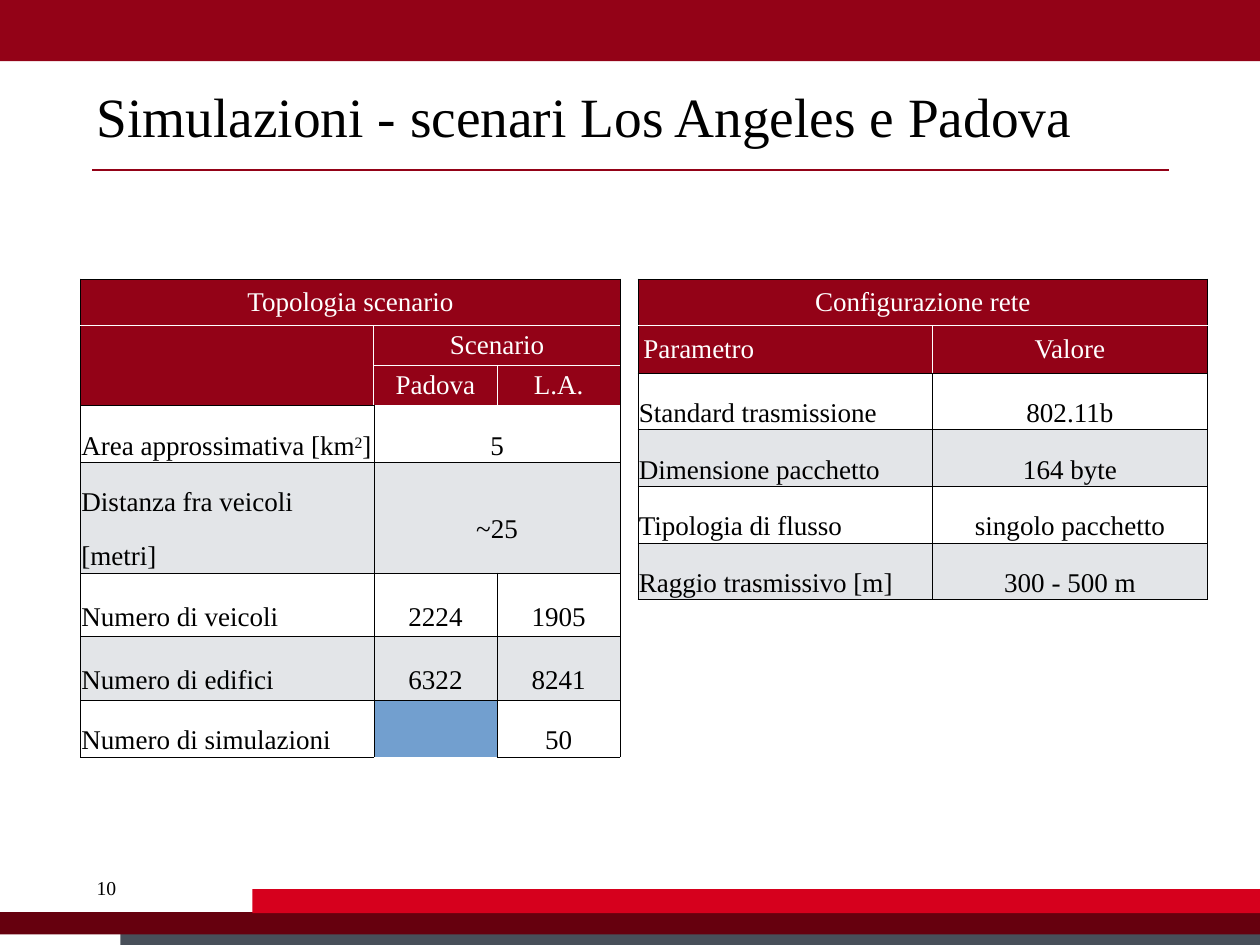
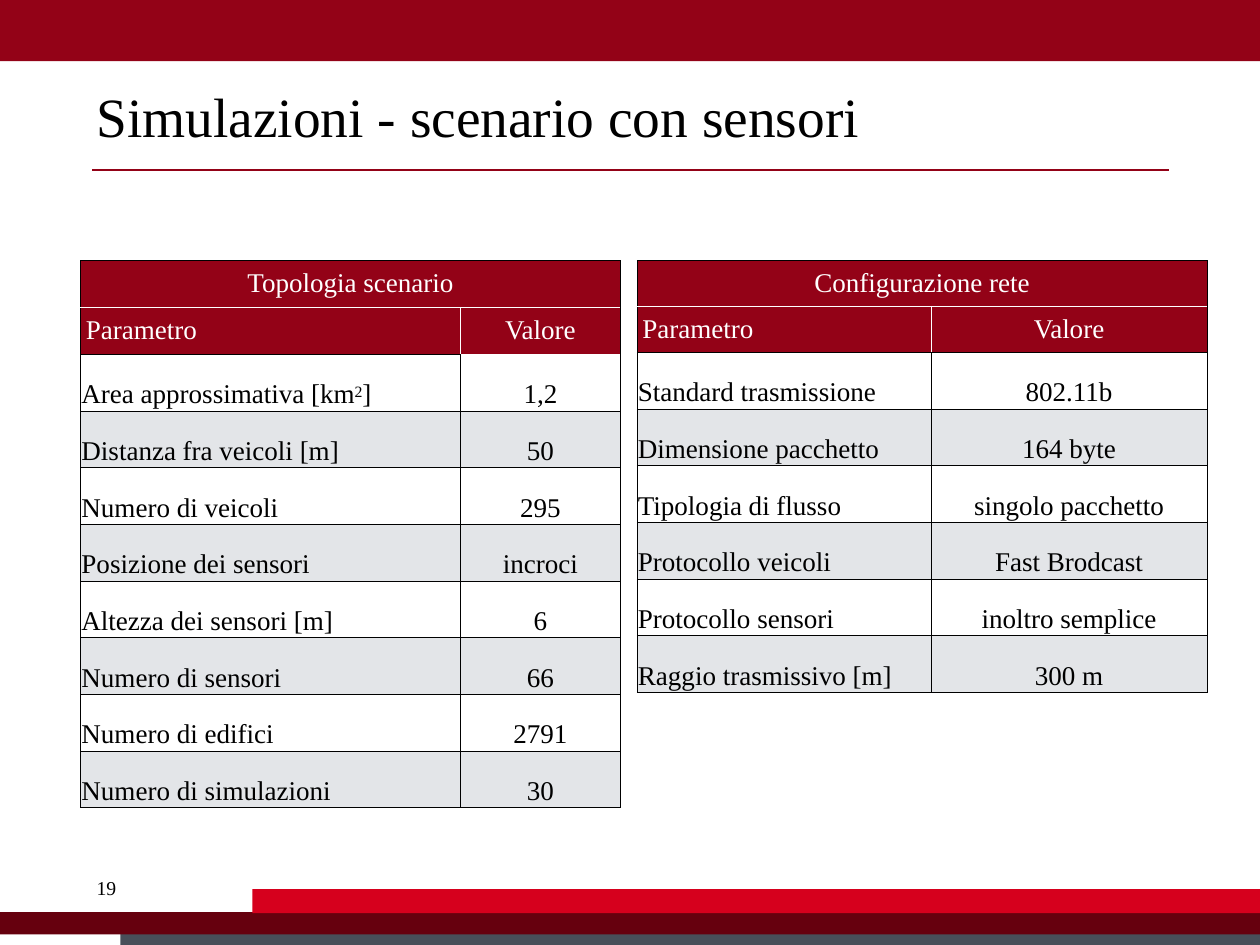
from dataclasses import dataclass

from lxml import etree
from pptx import Presentation
from pptx.dml.color import RGBColor
from pptx.enum.shapes import MSO_CONNECTOR as Connector, MSO_SHAPE as Shape
from pptx.enum.text import MSO_ANCHOR as Anchor, PP_ALIGN as Align
from pptx.oxml.ns import qn
from pptx.util import Inches, Pt

FONT = "Times New Roman"
COLORS = {
    "crimson": "930217",
    "dark_red": "66000E",
    "bright_red": "D6001D",
    "slate": "484F59",
    "black": "000000",
    "white": "FFFFFF",
    "stripe": "E3E5E8",
}
BANDS = [  # left, top, width, height, colour
    (0, -0.01, 14.22, 0.7, "crimson"),
    (1.36, 10.49, 12.88, 0.21, "slate"),
    (-0.02, 10.3, 14.27, 0.25, "dark_red"),
    (2.85, 10.04, 11.4, 0.27, "bright_red"),
]
JOIN_LEFT, JOIN_ABOVE = "join left", "join above"
AREA_LABEL = ("Area approssimativa [km", "^2", "]")
NETWORK_COLUMNS = (3.32, 3.11)
NETWORK_HEADER = [("Configurazione rete", JOIN_LEFT), ("Parametro", "Valore")]
HEADER_HEIGHT, BODY_HEIGHT = 0.53, 0.64


@dataclass
class TableData:
    left: float
    top: float
    columns: tuple
    header: list
    body: list
    header_heights: tuple = (HEADER_HEIGHT, HEADER_HEIGHT)
    tall_rows: tuple = ()  # (body row, height) pairs
    value_rule: str = "black"  # line between the header and the values


def rgb(name):
    return RGBColor.from_string(COLORS[name])


def add_run(paragraph, text, size, color="black"):
    """Add a run; a leading ^ marks superscript."""
    run = paragraph.add_run()
    run.text = text.removeprefix("^")
    run.font.name = FONT
    run.font.size = Pt(size)
    run.font.color.rgb = rgb(color)
    if text.startswith("^"):
        run._r.get_or_add_rPr().set("baseline", "23000")


def add_text(slide, left, top, width, height, text, size, anchor=Anchor.TOP):
    box = slide.shapes.add_textbox(*map(Inches, (left, top, width, height)))
    frame = box.text_frame
    frame.word_wrap = True
    frame.vertical_anchor = anchor
    frame.margin_left = frame.margin_right = Inches(0.06)
    frame.margin_top = frame.margin_bottom = Inches(0.06)
    add_run(frame.paragraphs[0], text, size)


def add_band(slide, left, top, width, height, color):
    band = slide.shapes.add_shape(
        Shape.RECTANGLE, *map(Inches, (left, top, width, height)))
    band.shadow.inherit = False
    band.fill.solid()
    band.fill.fore_color.rgb = rgb(color)
    band.line.fill.background()


def add_rule(slide, left, right, top):
    rule = slide.shapes.add_connector(
        Connector.STRAIGHT, *map(Inches, (left, top, right, top)))
    rule.line.color.rgb = rgb("crimson")
    rule.line.width = Pt(2)
    etree.SubElement(rule._element.spPr, qn("a:effectLst"))


def add_frame(presentation, title, number):
    """Add a slide with the shared bands, title, rule and page number."""
    slide = presentation.slides.add_slide(presentation.slide_layouts[6])
    for band in BANDS:
        add_band(slide, *band)
    add_text(slide, 1.03, 0.68, 12.16, 1.24, title, 45, Anchor.MIDDLE)
    add_text(slide, 1.03, 9.83, 0.6, 0.33, number, 16)
    add_rule(slide, 1.04, 13.19, 1.92)
    return slide


def set_borders(cell, colors):
    """Set left, right, top and bottom lines, ahead of the cell's fill."""
    properties = cell._tc.get_or_add_tcPr()
    for position, (side, color) in enumerate(zip("LRTB", colors)):
        width = Pt(1) if color == "white" else Pt(0.5)
        line = etree.Element(qn(f"a:ln{side}"), w=str(int(width)))
        fill = etree.SubElement(line, qn("a:solidFill"))
        etree.SubElement(fill, qn("a:srgbClr"), val=COLORS[color])
        properties.insert(position, line)


def border_colors(data, row, column, width, height):
    """Lines inside the header are white, all others are black."""
    header_count = len(data.header)
    is_header = row < header_count

    def horizontal(edge):
        if edge == header_count:
            return data.value_rule if column else "black"
        return "white" if 0 < edge < header_count else "black"

    def vertical(edge):
        return "white" if is_header and 0 < edge < len(data.columns) else "black"

    return (vertical(column), vertical(column + width),
            horizontal(row), horizontal(row + height))


def fill_cell(cell, content, is_left, body_row):
    """Write one cell; body_row is negative in the header."""
    is_header = body_row < 0
    body_color = "stripe" if body_row % 2 else "white"
    cell.fill.solid()
    cell.fill.fore_color.rgb = rgb("crimson" if is_header else body_color)
    cell.vertical_anchor = Anchor.MIDDLE
    cell.margin_left = cell.margin_right = Inches(0.06 if is_header else 0.01)
    cell.margin_top = cell.margin_bottom = Inches(0.04 if is_header else 0.01)
    if not content:
        return
    paragraph = cell.text_frame.paragraphs[0]
    paragraph.alignment = Align.LEFT if is_left else Align.CENTER
    if not is_header:
        paragraph.line_spacing = Pt(44)
    for text in (content if isinstance(content, tuple) else (content,)):
        add_run(paragraph, text, 22, "white" if is_header else "black")


def span(contents, marker):
    """Count the first cell and the markers that directly follow it."""
    size = 1
    while size < len(contents) and contents[size] == marker:
        size += 1
    return size


def add_data_table(slide, data):
    rows = data.header + data.body
    header_count = len(data.header)
    heights = list(data.header_heights) + [BODY_HEIGHT] * len(data.body)
    for body_row, height in data.tall_rows:
        heights[header_count + body_row] = height
    table = slide.shapes.add_table(
        len(rows), len(data.columns), Inches(data.left), Inches(data.top),
        Inches(sum(data.columns)), Inches(sum(heights))).table
    table.first_row = table.horz_banding = False
    for column, width in zip(table.columns, data.columns):
        column.width = Inches(width)
    for row, height in zip(table.rows, heights):
        row.height = Inches(height)

    for row, contents in enumerate(rows):
        for column, content in enumerate(contents):
            if content in (JOIN_LEFT, JOIN_ABOVE):
                continue
            cell = table.cell(row, column)
            width = span(contents[column:], JOIN_LEFT)
            height = span([below[column] for below in rows[row:]], JOIN_ABOVE)
            if width > 1 or height > 1:
                cell.merge(table.cell(row + height - 1, column + width - 1))
            is_left = column == 0 and width < len(contents)
            fill_cell(cell, content, is_left, row - header_count)
            set_borders(cell, border_colors(data, row, column, width, height))


def add_cities_slide(presentation):
    slide = add_frame(presentation, "Simulazioni - scenari Los Angeles e Padova", "10")
    add_data_table(slide, TableData(
        0.91, 3.15, (2.68, 0.63, 1.39, 1.39),
        header=[
            ("Topologia scenario", JOIN_LEFT, JOIN_LEFT, JOIN_LEFT),
            ("", JOIN_LEFT, "Scenario", JOIN_LEFT),
            (JOIN_ABOVE, JOIN_LEFT, "Padova", "L.A."),
        ],
        body=[
            (AREA_LABEL, JOIN_LEFT, "5", JOIN_LEFT),
            ("Distanza fra veicoli [metri]", JOIN_LEFT, "~25", JOIN_LEFT),
            ("Numero di veicoli", JOIN_LEFT, "2224", "1905"),
            ("Numero di edifici", JOIN_LEFT, "6322", "8241"),
            ("Numero di simulazioni", JOIN_LEFT, "50", JOIN_LEFT),
        ],
        header_heights=(HEADER_HEIGHT, 0.45, 0.45),
        tall_rows=((1, 1.25), (2, 0.72), (3, 0.72)),
        value_rule="white"))
    add_data_table(slide, TableData(
        7.2, 3.15, NETWORK_COLUMNS, NETWORK_HEADER,
        body=[
            ("Standard trasmissione", "802.11b"),
            ("Dimensione pacchetto", "164 byte"),
            ("Tipologia di flusso", "singolo pacchetto"),
            ("Raggio trasmissivo [m]", "300 - 500 m"),
        ]))


def add_sensors_slide(presentation):
    slide = add_frame(presentation, "Simulazioni - scenario con sensori", "19")
    add_data_table(slide, TableData(
        0.91, 2.94, (3.47, 0.82, 1.8),
        header=[
            ("Topologia scenario", JOIN_LEFT, JOIN_LEFT),
            ("Parametro", JOIN_LEFT, "Valore"),
        ],
        body=[
            (AREA_LABEL, JOIN_LEFT, "1,2"),
            ("Distanza fra veicoli [m]", JOIN_LEFT, "50"),
            ("Numero di veicoli", JOIN_LEFT, "295"),
            ("Posizione dei sensori", JOIN_LEFT, "incroci"),
            ("Altezza dei sensori [m]", JOIN_LEFT, "6"),
            ("Numero di sensori", JOIN_LEFT, "66"),
            ("Numero di edifici", JOIN_LEFT, "2791"),
            ("Numero di simulazioni", JOIN_LEFT, "30"),
        ],
        value_rule="white"))
    add_data_table(slide, TableData(
        7.19, 2.94, NETWORK_COLUMNS, NETWORK_HEADER,
        body=[
            ("Standard trasmissione", "802.11b"),
            ("Dimensione pacchetto", "164 byte"),
            ("Tipologia di flusso", "singolo pacchetto"),
            ("Protocollo veicoli", "Fast Brodcast"),
            ("Protocollo sensori", "inoltro semplice"),
            ("Raggio trasmissivo [m]", "300 m"),
        ],
        header_heights=(0.52, 0.52)))


def main():
    presentation = Presentation()
    presentation.slide_width = Inches(14.22)
    presentation.slide_height = Inches(10.67)
    add_cities_slide(presentation)
    add_sensors_slide(presentation)
    presentation.save("out.pptx")


if __name__ == "__main__":
    main()
